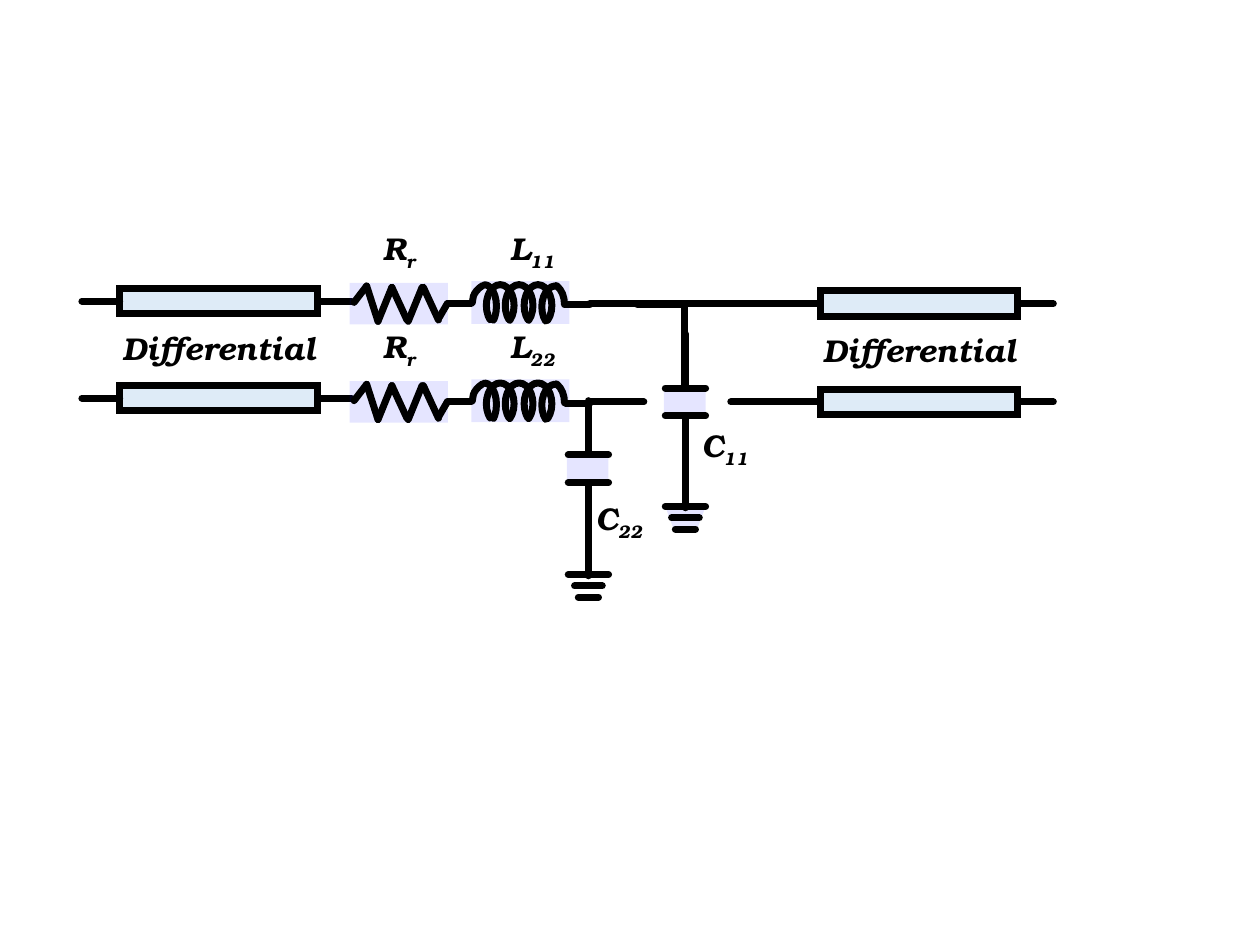
from dataclasses import dataclass
from typing import Any, Optional

import lxml.etree
import pptx
import pptx.dml.color
import pptx.enum.shapes
import pptx.enum.text
import pptx.oxml.ns
import pptx.util

Inches = pptx.util.Inches
Preset = pptx.enum.shapes.MSO_SHAPE
qn = pptx.oxml.ns.qn


@dataclass(frozen=True)
class Theme:
    ink: str = "000000"
    bar: str = "DEEBF7"
    tint: str = "0000FF"
    tint_alpha: int = 10000
    font: str = "TeX Gyre Bonum"
    text_size: float = 18
    line_width: float = 4


@dataclass(frozen=True)
class Box:
    left: float
    top: float
    width: float
    height: float


@dataclass(frozen=True)
class Coil:
    """An arc; start and end are in units of 100000/60000 degrees."""
    box: Box
    start: float
    end: float
    mirrored: bool = False


@dataclass(frozen=True)
class Wire:
    x1: float
    y1: float
    x2: float
    y2: float


@dataclass(frozen=True)
class Capacitor:
    center: float
    top: float
    label: str
    label_left: float
    label_top: float
    ground_top: float
    ground_tinted: bool


THEME = Theme()
ROW_GAP = 0.78

COILS = [
    Coil(Box(3.75, 2.26, 0.19, 0.34), 162.44, 34.2),
    *[Coil(Box(left, 2.26, 0.22, 0.33), 75.12, 34.2) for left in (3.86, 4.01, 4.16)],
    Coil(Box(4.3, 2.27, 0.22, 0.33), 75.12, 160.15),
    Coil(Box(3.75, 2.23, 0.44, 0.33), 106.91, 133.47),
    Coil(Box(4.25, 2.25, 0.23, 0.33), 107.4, 150.8, mirrored=True),
]
ZIGZAG = [
    Wire(3.23, 2.54, 3.11, 2.28), Wire(3, 2.55, 2.91, 2.27),
    Wire(3, 2.55, 3.11, 2.28), Wire(2.81, 2.4, 2.91, 2.27),
    Wire(3.48, 2.53, 3.55, 2.41), Wire(3.48, 2.54, 3.36, 2.28),
    Wire(3.24, 2.55, 3.35, 2.28),
]
SERIES_LEADS = [Wire(3.55, 2.41, 3.74, 2.41), Wire(4.49, 2.42, 4.68, 2.42)]
CAPACITORS = [
    Capacitor(5.44, 3.08, "11", 5.47, 3.33, 4.02, True),
    Capacitor(4.67, 3.61, "22", 4.63, 3.91, 4.56, False),
]
LEFT_LEADS = [Wire(x1, y, x2, y) for y in (2.39, 3.16)
              for x1, x2 in ((2.54, 2.79), (0.65, 0.95))]
RIGHT_LEADS = [Wire(x1, y, x2, y) for x1, x2, y in (
    (8.1, 8.36, 2.41), (4.68, 6.51, 2.41),
    (8.1, 8.36, 3.19), (5.8, 6.49, 3.19), (4.68, 5.11, 3.19))]


def color(value: str) -> pptx.dml.color.RGBColor:
    return pptx.dml.color.RGBColor.from_string(value)


def ink_outline(shape: Any, rounded: bool = True) -> None:
    """Apply the thick line, with round caps or with sharp corners."""
    shape.line.color.rgb = color(THEME.ink)
    shape.line.width = pptx.util.Pt(THEME.line_width)
    outline = shape._element.spPr.find(qn("a:ln"))
    if rounded:
        outline.set("cap", "rnd")
    else:
        lxml.etree.SubElement(outline, qn("a:miter")).set("lim", "800000")


def add_shape(shapes: Any, preset: Any, box: Box, flipped: bool = False) -> Any:
    shape = shapes.add_shape(preset, Inches(box.left), Inches(box.top),
                             Inches(box.width), Inches(box.height))
    shape.shadow.inherit = False
    if flipped:
        shape._element.spPr.find(qn("a:xfrm")).set("flipV", "1")
    return shape


def add_tint(shapes: Any, box: Box, preset: Any = Preset.RECTANGLE,
             rotation: float = 0, flipped: bool = False) -> Any:
    shape = add_shape(shapes, preset, box, flipped)
    shape.rotation = rotation
    shape.fill.solid()
    shape.fill.fore_color.rgb = color(THEME.tint)
    fill_color = shape._element.spPr.find(qn("a:solidFill"))[0]
    lxml.etree.SubElement(fill_color, qn("a:alpha")).set("val", str(THEME.tint_alpha))
    shape.line.fill.background()
    return shape


def add_bar(shapes: Any, box: Box) -> None:
    shape = add_shape(shapes, Preset.RECTANGLE, box)
    shape.fill.solid()
    shape.fill.fore_color.rgb = color(THEME.bar)
    ink_outline(shape, rounded=False)


def add_coil(shapes: Any, coil: Coil, down: float) -> None:
    box = Box(coil.box.left, coil.box.top + down, coil.box.width, coil.box.height)
    shape = add_shape(shapes, Preset.ARC, box, coil.mirrored)
    shape.rotation = 180 if coil.mirrored else 0
    shape.adjustments[0], shape.adjustments[1] = coil.start, coil.end
    shape.fill.background()
    ink_outline(shape)


def add_wire(shapes: Any, wire: Wire, down: float = 0, elbow: bool = False) -> None:
    kinds = pptx.enum.shapes.MSO_CONNECTOR
    connector = shapes.add_connector(
        kinds.ELBOW if elbow else kinds.STRAIGHT, Inches(wire.x1),
        Inches(wire.y1 + down), Inches(wire.x2), Inches(wire.y2 + down))
    ink_outline(connector)
    properties = connector._element.spPr
    if elbow:
        properties.find(qn("a:prstGeom")).set("prst", "bentConnector2")
    lxml.etree.SubElement(properties, qn("a:effectLst"))


def add_text(shapes: Any, text: str, box: Box, *, subscript: Optional[str] = None,
             centered: bool = False, wrap: bool = False) -> None:
    text_box = shapes.add_textbox(Inches(box.left), Inches(box.top),
                                  Inches(box.width), Inches(box.height))
    frame = text_box.text_frame
    frame.word_wrap = wrap
    frame.auto_size = pptx.enum.text.MSO_AUTO_SIZE.SHAPE_TO_FIT_TEXT
    paragraph = frame.paragraphs[0]
    alignment = pptx.enum.text.PP_ALIGN
    paragraph.alignment = alignment.CENTER if centered else alignment.LEFT
    for content in filter(None, (text, subscript)):
        run = paragraph.add_run()
        run.text = content
        run.font.name = THEME.font
        run.font.size = pptx.util.Pt(THEME.text_size)
        run.font.bold = run.font.italic = True
        run.font.color.rgb = color(THEME.ink)
    if subscript:
        run.font._element.set("baseline", "-25000")


def draw_differential_pair(shapes: Any, left: float, tops: tuple[float, float],
                           label_top: float, leads: list[Wire]) -> None:
    for top in tops:
        add_bar(shapes, Box(left, top, 1.57, 0.2))
    for lead in leads:
        add_wire(shapes, lead)
    add_text(shapes, "Differential", Box(left - 0.09, label_top, 1.76, 0.4), centered=True)


def draw_series_branch(shapes: Any, down: float, number: str) -> None:
    """Draw a resistor followed by an inductor."""
    add_tint(shapes, Box(3.96, 2.01 + down, 0.34, 0.78), rotation=270)
    add_text(shapes, "L", Box(3.95, 1.77 + down, 0.63, 0.43), subscript=number)
    for coil in COILS:
        add_coil(shapes, coil, down)
    add_tint(shapes, Box(3, 2.02 + down, 0.33, 0.78), rotation=270)
    for wire in ZIGZAG + SERIES_LEADS:
        add_wire(shapes, wire, down)
    add_text(shapes, "R", Box(2.94, 1.77 + down, 0.5, 0.43), subscript="r")


def draw_capacitor(shapes: Any, item: Capacitor) -> None:
    """Draw a capacitor with its stems, label and ground."""
    center, top, ground = item.center, item.top, item.ground_top
    add_tint(shapes, Box(center - 0.17, top, 0.33, 0.23))
    for plate in (top, top + 0.22):
        add_wire(shapes, Wire(center - 0.16, plate, center + 0.16, plate))
    add_wire(shapes, Wire(center, top - 0.03, center, top - 0.43))
    add_text(shapes, "C", Box(item.label_left, item.label_top, 0.66, 0.43),
             subscript=item.label, wrap=True)
    if item.ground_tinted:
        trapezoid = add_tint(shapes, Box(center - 0.16, ground, 0.32, 0.18),
                             Preset.TRAPEZOID, flipped=True)
        trapezoid.adjustments[0] = 0.37
    for index, half in enumerate((0.16, 0.11, 0.08)):
        level = ground + 0.09 * index
        add_wire(shapes, Wire(center - half, level, center + half, level))
    add_wire(shapes, Wire(center, top + 0.24, center, ground + 0.01))


def main() -> None:
    presentation = pptx.Presentation()
    presentation.slide_width, presentation.slide_height = Inches(10), Inches(7.5)
    slide = presentation.slides.add_slide(presentation.slide_layouts[6])
    shapes = slide.shapes
    draw_differential_pair(shapes.add_group_shape().shapes, 0.95, (2.29, 3.06), 2.56, LEFT_LEADS)
    add_wire(shapes, Wire(5.06, 2.42, 5.43, 3.08), elbow=True)
    for row, number in enumerate(("11", "22")):
        draw_series_branch(shapes.add_group_shape().shapes, row * ROW_GAP, number)
    for capacitor in CAPACITORS:
        draw_capacitor(shapes.add_group_shape().shapes, capacitor)
    draw_differential_pair(shapes.add_group_shape().shapes, 6.51, (2.31, 3.09), 2.58, RIGHT_LEADS)
    presentation.save("out.pptx")


if __name__ == "__main__":
    main()
